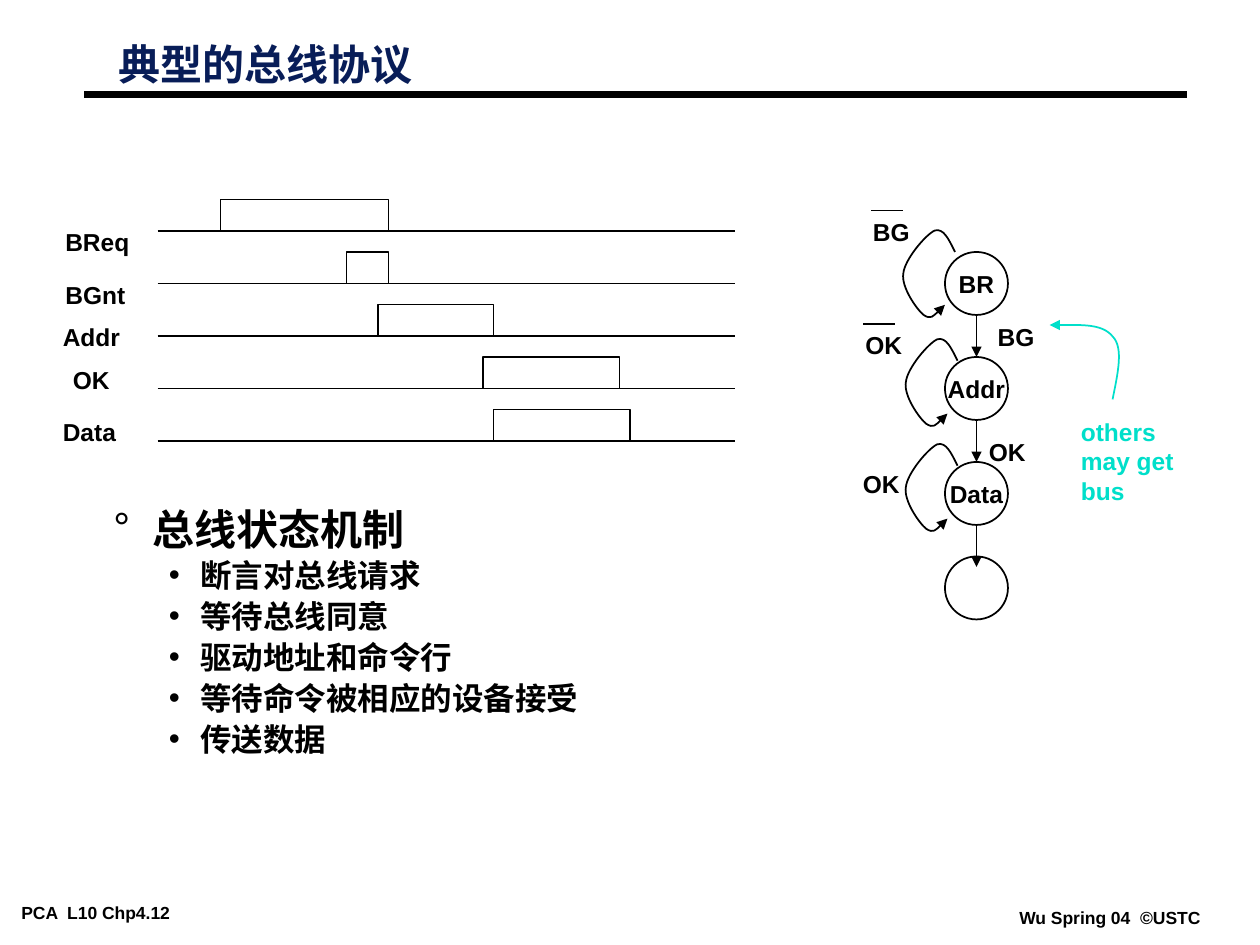
from lxml.etree import SubElement
from pptx import Presentation
from pptx.dml.color import RGBColor
from pptx.enum.shapes import MSO_CONNECTOR as Link, MSO_SHAPE as Preset
from pptx.enum.text import MSO_ANCHOR as Anchor, MSO_AUTO_SIZE as Fit, PP_ALIGN as Align
from pptx.oxml.ns import qn
from pptx.util import Inches, Pt


class Theme:
    font = "Arial"
    ink, paper, navy, teal = map(RGBColor.from_string, ("000000", "FFFFFF", "081D58", "00DFCA"))
    heading, item, label, footer = 24, 18, 14, 10
    thin, rule = 1, 4.5


WIDTH, HEIGHT = 10, 7.5
U = 1 / 12  # grid step in inches

TITLE = "典型的总线协议"
FOOTERS = [("PCA  L10 Chp4.12", 0.1, 7.13, 1.84), ("Wu Spring 04  ©USTC", 8.02, 7.17, 1.58)]
TOPIC = "总线状态机制"
STEPS = ["断言对总线请求", "等待总线同意", "驱动地址和命令行", "等待命令被相应的设备接受", "传送数据"]

# signal, label left, top and width in inches, pulse start and end in grid steps
SIGNALS = [
    ("BReq", 0.42, 1.75, 0.73, 21, 37),
    ("BGnt", 0.42, 2.17, 0.69, 33, 37),
    ("Addr", 0.40, 2.51, 0.67, 36, 47),
    ("OK", 0.48, 2.85, 0.50, 46, 59),
    ("Data", 0.40, 3.26, 0.64, 47, 60),
]
TIME_START, TIME_END, FIRST_LINE, LINE_GAP, PULSE = 15, 70, 22, 5, 3

# state, top in grid steps
STATES = [("BR", 24), ("Addr", 34), ("Data", 44), ("", 53)]
STATE_LEFT, STATE_SIZE, ARROW = 90, 6, 4
# condition, left, top, negated
CONDITIONS = [
    ("BG", 7.82, 2.51, False),
    ("BG", 6.83, 1.67, True),
    ("OK", 7.75, 3.42, False),
    ("OK", 6.77, 2.57, True),
    ("OK", 6.75, 3.67, False),
]
# Bezier points; the waiting loop is relative to its state's top left corner
LOOP = [(0.08, 0), (0.03, -0.1), (-0.01, -0.19), (-0.08, -0.17),
        (-0.15, -0.14), (-0.32, 0.06), (-0.33, 0.17),
        (-0.35, 0.28), (-0.22, 0.46), (-0.17, 0.5),
        (-0.11, 0.54), (-0.06, 0.48), (0, 0.42)]
LOOP_SHIFTS = [(0, 0), (0.02, 0.03), (0.02, 0.03)]
RELEASE = [(8.83, 3.17), (8.87, 2.97), (8.92, 2.76), (8.83, 2.67),
           (8.75, 2.57), (8.54, 2.58), (8.33, 2.58)]
RELEASE_NOTE = ["others", "may get", "bus"]

deck = Presentation()
deck.slide_width, deck.slide_height = Inches(WIDTH), Inches(HEIGHT)
shapes = deck.slides.add_slide(deck.slide_layouts[6]).shapes


def write(frame, lines, size=Theme.label, color=Theme.ink, align=Align.LEFT, anchor=Anchor.TOP,
          margins=(0.1, 0.05), wrap=False, fit=Fit.NONE, spacing=None):
    frame.word_wrap, frame.auto_size, frame.vertical_anchor = wrap, fit, anchor
    frame.margin_left = frame.margin_right = Inches(margins[0])
    frame.margin_top = frame.margin_bottom = Inches(margins[1])
    for i, line in enumerate(lines):
        paragraph = frame.add_paragraph() if i else frame.paragraphs[0]
        paragraph.alignment, paragraph.line_spacing = align, spacing
        run = paragraph.add_run()
        run.text = line
        font = run.font
        font.name, font.size, font.bold = Theme.font, Pt(size), True
        font.color.rgb = color
    return frame.paragraphs


def label(lines, left, top, width, height=0.34, **style):
    box = shapes.add_textbox(*map(Inches, (left, top, width, height)))
    return write(box.text_frame, lines, **{"fit": Fit.SHAPE_TO_FIT_TEXT, **style})


def bullet(paragraph, mark, margin, hang, spacing):
    paragraph.line_spacing, paragraph.space_before = spacing, Pt(5)
    props = paragraph._p.get_or_add_pPr()
    props.set("marL", str(Inches(margin)))
    props.set("indent", str(-Inches(hang)))
    SubElement(props, qn("a:buFont"), typeface=Theme.font)
    SubElement(props, qn("a:buChar"), char=mark)


def stroke(shape, color=Theme.ink, weight=Theme.thin, arrow=False):
    shape.line.color.rgb, shape.line.width = color, Pt(weight)
    if arrow:
        SubElement(shape.line._get_or_add_ln(), qn("a:tailEnd"), type="triangle")


def line(x1, y1, x2, y2, **style):
    connector = shapes.add_connector(Link.STRAIGHT, *map(Inches, (x1, y1, x2, y2)))
    stroke(connector, **style)
    SubElement(connector._element.spPr, qn("a:effectLst"))


def block(preset, left, top, width, height):
    shape = shapes.add_shape(preset, *map(Inches, (left, top, width, height)))
    shape.shadow.inherit = False
    shape.fill.solid()
    shape.fill.fore_color.rgb = Theme.paper
    stroke(shape)
    return shape


def curve(points, **style):
    """Draw joined cubic Beziers as an open outline ending in an arrowhead."""
    start, *rest = [tuple(map(Inches, point)) for point in points]
    builder = shapes.build_freeform(*start)
    builder.add_line_segments(rest, close=False)
    outline = builder.convert_to_shape()
    track = next(outline._element.iter(qn("a:path")))
    segments = track.findall(qn("a:lnTo"))
    for i in range(0, len(segments), 3):
        bezier = SubElement(track, qn("a:cubicBezTo"))
        for segment in segments[i:i + 3]:
            bezier.append(segment[0])
            track.remove(segment)
    outline.shadow.inherit = False
    outline.fill.background()
    stroke(outline, arrow=True, **style)


# Page frame
slim = {"margins": (0.07, 0.03)}
for text, left, top, width in FOOTERS:
    label([text], left, top, width, 0.22, size=Theme.footer, **slim)
line(0.67, 0.75, 9.42, 0.75, weight=Theme.rule)
label([TITLE], 0.87, 0.33, 2.5, 0.4, size=Theme.heading, color=Theme.navy, spacing=0.87, **slim)

# Bus state list
topic, *steps = label([TOPIC, *STEPS], 0.83, 4.06, 8.58, 2.62, size=Theme.item,
                      wrap=True, fit=Fit.NONE, **slim)
topic.runs[0].font.size = Pt(Theme.heading)
bullet(topic, "°", 0.31, 0.31, 0.75)
for step in steps:
    bullet(step, "•", 0.69, 0.25, 0.85)

# Timing diagram
for row, (signal, left, top, width, start, end) in enumerate(SIGNALS):
    base = (FIRST_LINE + row * LINE_GAP) * U
    line(TIME_START * U, base, TIME_END * U, base)
    label([signal], left, top, width)
    block(Preset.RECTANGLE, start * U, base - PULSE * U, (end - start) * U, PULSE * U)

# State machine
state_x, diameter = STATE_LEFT * U, STATE_SIZE * U
for state, top in STATES:
    circle = block(Preset.OVAL, state_x, top * U, diameter, diameter)
    if state:
        write(circle.text_frame, [state], align=Align.CENTER, anchor=Anchor.MIDDLE)
for (state, top), (dx, dy) in zip(STATES, LOOP_SHIFTS):
    middle, bottom = state_x + diameter / 2, top * U + diameter
    line(middle, bottom, middle, bottom + ARROW * U, arrow=True)
    curve([(state_x + dx + x, top * U + dy + y) for x, y in LOOP])
for condition, left, top, negated in CONDITIONS:
    label([condition], left, top, 0.5)
    if negated:
        line(left + U, top, left + 4 * U, top)

curve(RELEASE, color=Theme.teal)
label(RELEASE_NOTE, 8.48, 3.26, 0.96, 0.8, color=Theme.teal)

deck.save("out.pptx")
